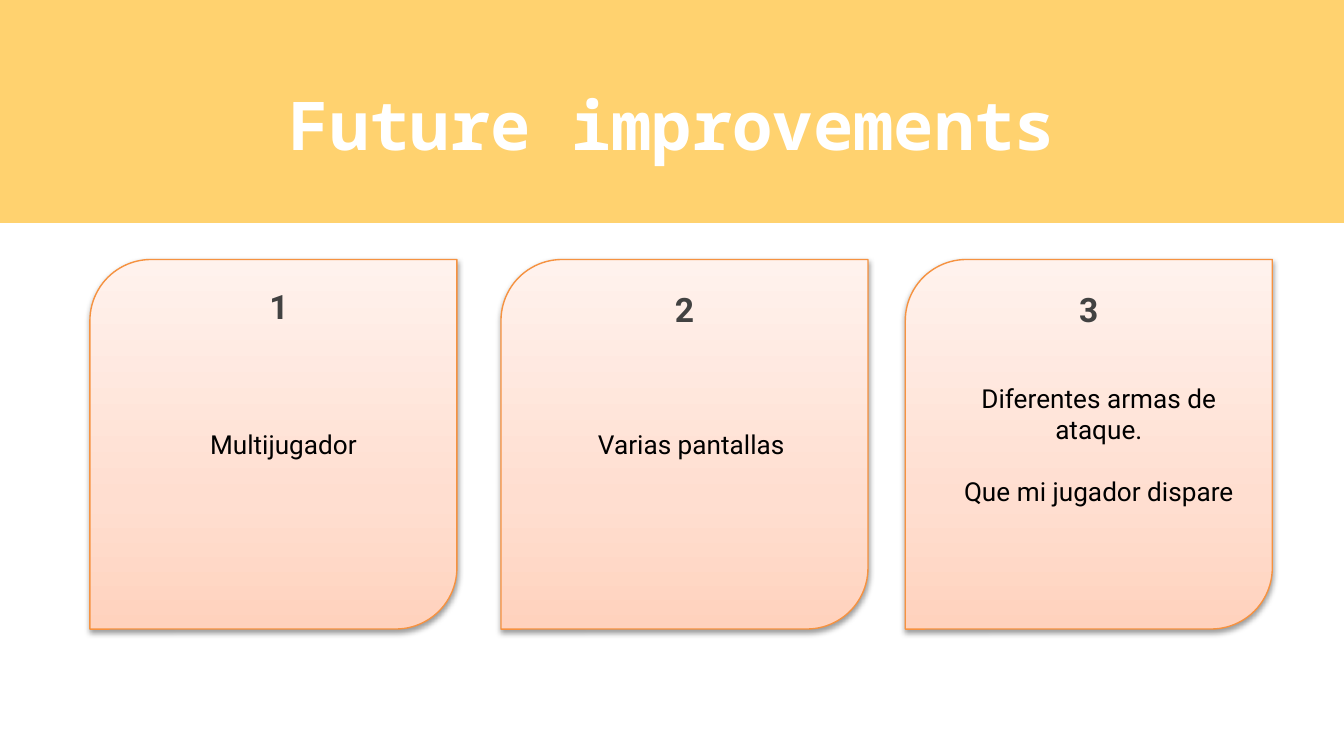
import pptx
import pptx.util
import pptx.dml.color
import pptx.enum.shapes
import pptx.enum.text
import pptx.oxml
import pptx.oxml.ns

Pt = pptx.util.Pt
RGB = pptx.dml.color.RGBColor
SHAPE = pptx.enum.shapes.MSO_SHAPE
ANCHOR = pptx.enum.text.MSO_ANCHOR
ALIGN = pptx.enum.text.PP_ALIGN

GOLD = RGB(0xFF, 0xD2, 0x6F)
WHITE = RGB(0xFF, 0xFF, 0xFF)
BLACK = RGB(0, 0, 0)
GRAY = RGB(0x42, 0x42, 0x42)
ORANGE = RGB(0xF6, 0x92, 0x40)
STOPS = [
    (0, RGB(0xFF, 0xD2, 0xBD)),
    (35, RGB(0xFF, 0xDE, 0xD0)),
    (100, RGB(0xFF, 0xF2, 0xED)),
]

WIDE, HIGH = 720, 405
CARDS = [
    (48.2, 3, 0, "1", ["Multijugador"]),
    (268.4, 0, 1.4, "2", ["Varias pantallas "]),
    (485, 0, 1.4, "3", ["Diferentes armas de ataque.", "Que mi jugador dispare"]),
]


def write(shape, lines, size=14, font="Roboto", color=BLACK, bold=False,
          anchor=ANCHOR.MIDDLE, indent=0, gap=0):
    """Fill a shape with centred paragraphs in one format."""
    frame = shape.text_frame
    frame.word_wrap = True
    frame.auto_size = pptx.enum.text.MSO_AUTO_SIZE.NONE
    frame.vertical_anchor = anchor
    for side in ("left", "top", "right", "bottom"):
        setattr(frame, "margin_" + side, Pt(7.2))
    for i, line in enumerate(lines):
        para = frame.add_paragraph() if i else frame.paragraphs[0]
        para.alignment = ALIGN.CENTER
        para.space_before = Pt(gap if i else 0)
        if indent:
            props = para._p.get_or_add_pPr()
            props.set("marL", str(Pt(indent)))
            props.set("indent", "0")
        run = para.add_run()
        run.text = line
        run.font.size = Pt(size)
        run.font.name = font
        run.font.bold = bold
        run.font.color.rgb = color


def shade(shape):
    """Give a shape the peach gradient and a soft shadow below."""
    space = pptx.oxml.ns.nsdecls("a")
    stops = "".join(
        f'<a:gs pos="{at * 1000}"><a:srgbClr val="{color}"/></a:gs>'
        for at, color in STOPS)
    fill = pptx.oxml.parse_xml(
        f'<a:gradFill {space} rotWithShape="1"><a:gsLst>{stops}</a:gsLst>'
        '<a:lin ang="16200000" scaled="0"/></a:gradFill>')
    glow = pptx.oxml.parse_xml(
        f'<a:effectLst {space}><a:outerShdw blurRad="{Pt(3.1)}" dist="{Pt(1.6)}" '
        'dir="5400000" rotWithShape="0"><a:srgbClr val="000000">'
        '<a:alpha val="38000"/></a:srgbClr></a:outerShdw></a:effectLst>')
    props = shape._element.spPr
    props.find(pptx.oxml.ns.qn("a:prstGeom")).addnext(fill)
    props.find(pptx.oxml.ns.qn("a:ln")).addnext(glow)


def header(slide, x, y, w, h):
    """Draw the title on its gold band."""
    band = slide.shapes.add_shape(SHAPE.RECTANGLE, Pt(x), Pt(y), Pt(w), Pt(h))
    band.shadow.inherit = False
    band.fill.solid()
    band.fill.fore_color.rgb = GOLD
    band.line.fill.background()
    title = slide.shapes.title
    title.left, title.top = Pt(x + 34), Pt(y + 25.2)
    title.width, title.height = Pt(w - 68), Pt(82)
    band._element.addnext(title._element)
    write(title, ["Future improvements"], size=36, font="Noto Sans Mono",
          color=WHITE, bold=True)


def card(slide, x, y, w, h, dx, dy, mark, lines):
    """Draw one card with its number and text."""
    box = slide.shapes.add_shape(SHAPE.ROUND_2_DIAG_RECTANGLE,
                                 Pt(x), Pt(y), Pt(w), Pt(h))
    box.line.color.rgb = ORANGE
    box.line.width = Pt(0.75)
    shade(box)
    write(box, lines, indent=10.8, gap=16.4)
    label = slide.shapes.add_textbox(Pt(x + dx), Pt(y + dy), Pt(w), Pt(43.2))
    write(label, [mark], size=18, color=GRAY, bold=True, anchor=ANCHOR.BOTTOM)


deck = pptx.Presentation()
deck.slide_width, deck.slide_height = Pt(WIDE), Pt(HIGH)
page = deck.slides.add_slide(deck.slide_layouts[5])
header(page, 0, 0, WIDE, 119.5)
for left, dx, dy, mark, lines in CARDS:
    card(page, left, 139, 196.6, 198, dx, dy, mark, lines)
deck.save("out.pptx")
